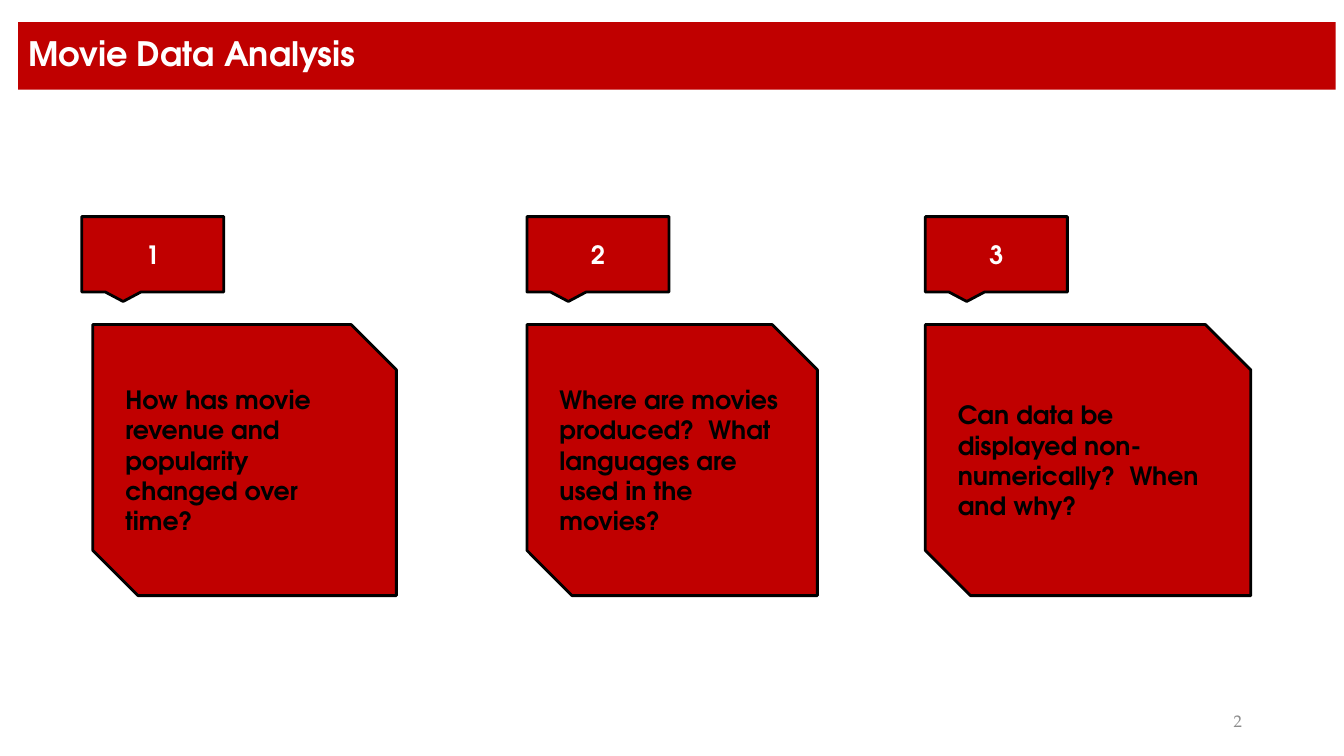
import pptx
import pptx.dml.color
import pptx.enum.shapes
import pptx.enum.text
import pptx.util

Cm = pptx.util.Cm
SHAPES = pptx.enum.shapes.MSO_SHAPE
ALIGN = pptx.enum.text.PP_ALIGN

RED, BLACK, WHITE, GREY = "C00000", "000000", "FFFFFF", "8C8C8C"
HEADING_FONT, NUMBER_FONT = "TeX Gyre Adventor", "TeX Gyre Pagella"

TAG_WIDTH, TAG_HEIGHT = 3.58, 1.9
CARD_DROP, CARD_HEIGHT = 2.72, 6.83
QUESTIONS_TOP = 5.46

# tag left, card left, card width (cm), question
QUESTIONS = [
    (2.06, 2.34, 7.65, "How has movie revenue and popularity changed over time?"),
    (13.28, 13.28, 7.32, "Where are movies produced?  What languages are used in the movies?"),
    (23.32, 23.32, 8.2, "Can data be displayed non-numerically?  When and why?"),
]


def rgb(hex_color):
    return pptx.dml.color.RGBColor.from_string(hex_color)


def write(shape, text, color, size=18, font=HEADING_FONT, bold=True,
          align=ALIGN.LEFT, spacing=1.0):
    frame = shape.text_frame
    frame.word_wrap = True
    frame.vertical_anchor = pptx.enum.text.MSO_ANCHOR.MIDDLE
    paragraph = frame.paragraphs[0]
    paragraph.alignment = align
    paragraph.line_spacing = spacing
    run = paragraph.add_run()
    run.text = text
    formats = {"name": font, "size": pptx.util.Pt(size), "bold": bold}
    for key, value in formats.items():
        setattr(run.font, key, value)
    run.font.color.rgb = rgb(color)


def add_red_shape(slide, preset, box, outlined=True):
    shape = slide.shapes.add_shape(preset, *map(Cm, box))
    shape.shadow.inherit = False
    shape.fill.solid()
    shape.fill.fore_color.rgb = rgb(RED)
    if outlined:
        shape.line.color.rgb = rgb(BLACK)
        shape.line.width = pptx.util.Pt(2)
    else:
        shape.line.fill.background()
    return shape


def add_title_bar(slide, box, title):
    bar = add_red_shape(slide, SHAPES.RECTANGLE, box, outlined=False)
    write(bar, title, WHITE, size=24, spacing=0.9)


def add_question(slide, number, tag_left, card_left, top, card_width, question):
    """Place a numbered tag above the card that holds its question."""
    card = add_red_shape(slide, SHAPES.SNIP_2_DIAG_RECTANGLE,
                         (card_left, top + CARD_DROP, card_width, CARD_HEIGHT))
    write(card, question, BLACK)
    tag = add_red_shape(slide, SHAPES.RECTANGULAR_CALLOUT,
                        (tag_left, top, TAG_WIDTH, TAG_HEIGHT))
    write(tag, str(number), WHITE, align=ALIGN.CENTER)


def add_page_number(slide, box, number):
    page_number = slide.shapes.add_textbox(*map(Cm, box))
    write(page_number, number, GREY, size=12, font=NUMBER_FONT, bold=False,
          align=ALIGN.RIGHT)


def main():
    presentation = pptx.Presentation()
    presentation.slide_width = Cm(33.87)
    presentation.slide_height = Cm(19.05)
    slide = presentation.slides.add_slide(presentation.slide_layouts[6])

    add_title_bar(slide, (0.46, 0.56, 33.2, 1.7), "Movie Data Analysis")
    for number, (tag_left, card_left, card_width, question) in enumerate(QUESTIONS, 1):
        add_question(slide, number, tag_left, card_left, QUESTIONS_TOP,
                     card_width, question)
    add_page_number(slide, (23.93, 17.65, 7.62, 1.02), "2")

    presentation.save("out.pptx")


if __name__ == "__main__":
    main()
